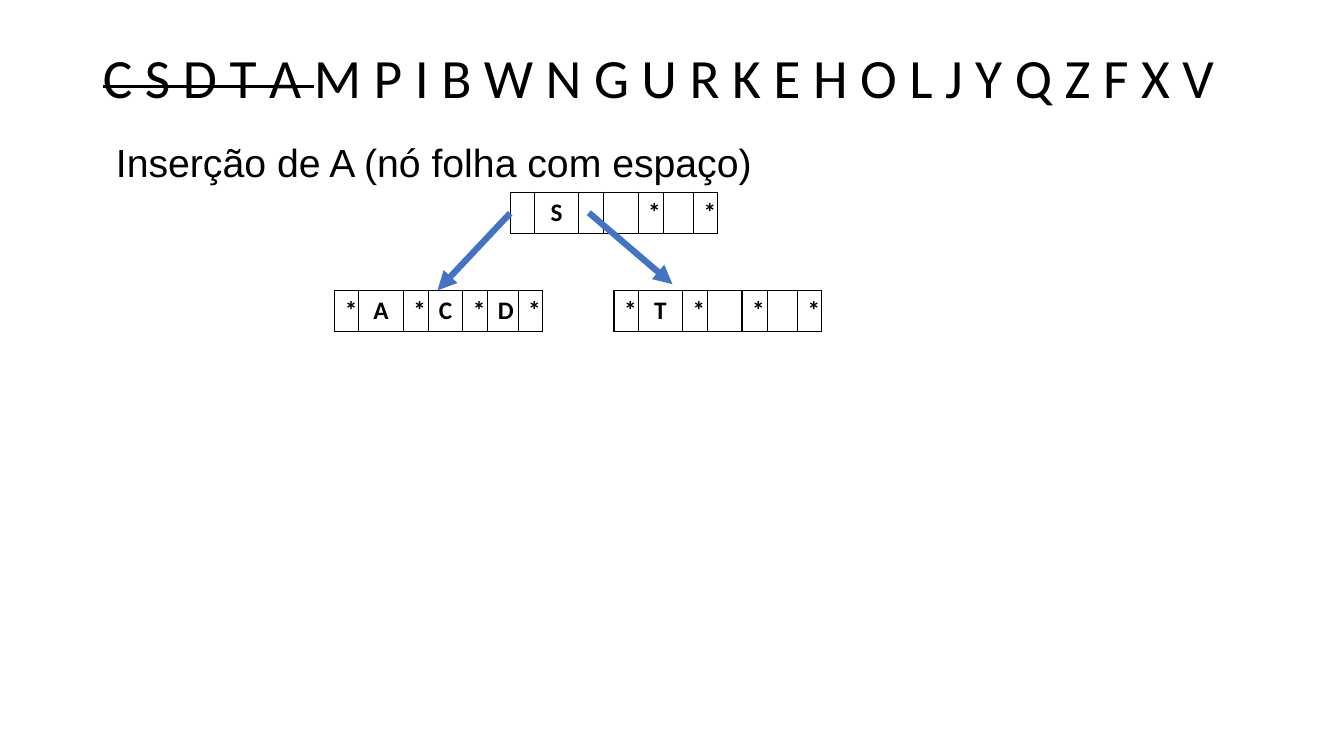
from dataclasses import dataclass

from lxml.etree import SubElement
from pptx import Presentation
from pptx.dml.color import RGBColor
from pptx.enum.shapes import MSO_CONNECTOR as Connector
from pptx.enum.text import MSO_ANCHOR as Anchor, MSO_AUTO_SIZE as AutoSize, PP_ALIGN as Align
from pptx.oxml.ns import qn
from pptx.util import Inches, Pt

INSERTED = "C S D T A "
PENDING = "M P I B W N G U R K E H O L J Y Q Z F X V"
STEP = "Inserção de A (nó folha com espaço)"

# Each node alternates pointers and keys: pointer, key, pointer, ... pointer
NODES = {
    "root": ((5.06, 1.91), ["", "S", "", "", "*", "", "*"]),
    "left leaf": ((3.32, 2.88), ["*", "A", "*", "C", "*", "D", "*"]),
    "right leaf": ((6.09, 2.88), ["*", "T", "*", "", "*", "", "*"]),
}
COLUMN_WIDTHS = [0.23, 0.44, 0.25, 0.34, 0.25, 0.3, 0.23]
NODE_HEIGHT = 0.41
LEFT_ARROW = ((5.06, 2.11), (4.34, 2.88))
RIGHT_ARROW = ((5.84, 2.11), (6.67, 2.82))
TOP, LEFT = 0, 1


@dataclass(frozen=True)
class Theme:
    ink: RGBColor = RGBColor(0, 0, 0)
    arrow: RGBColor = RGBColor(0x44, 0x72, 0xC4)
    title_font: str = "Calibri"
    body_font: str = "Arial"
    title_size: float = 39.6
    body_size: float = 28
    key_size: float = 18
    border_width: float = 1
    arrow_width: float = 4.5


THEME = Theme()


def add_span(para, text, font_name, size, bold=False):
    span = para.add_run()
    span.text = text
    span.font.name = font_name
    span.font.size = Pt(size)
    span.font.bold = bold
    span.font.color.rgb = THEME.ink
    return span


def place(box, left, top, width, height):
    """Move a placeholder and return its first paragraph, ready for text."""
    box.left, box.top, box.width, box.height = map(Inches, (left, top, width, height))
    box.text_frame.word_wrap = True
    box.text_frame.auto_size = AutoSize.NONE
    para = box.text_frame.paragraphs[0]
    para.alignment = Align.LEFT
    para.line_spacing = 0.9
    return para


def add_title(slide):
    title = slide.shapes.title
    para = place(title, 0.92, 0.39, 11.5, 1.45)
    title.text_frame.vertical_anchor = Anchor.MIDDLE
    title.text_frame.margin_bottom = Inches(0.68)
    done = add_span(para, INSERTED, THEME.title_font, THEME.title_size)
    done.font._element.set("strike", "sngStrike")
    add_span(para, PENDING, THEME.title_font, THEME.title_size)


def add_step(slide):
    para = place(slide.placeholders[1], 1.05, 1.37, 11.5, 0.94)
    para.space_before = Pt(10)
    properties = para._p.get_or_add_pPr()
    properties.set("marL", "0")
    properties.set("indent", "0")
    SubElement(properties, qn("a:buNone"))
    add_span(para, STEP, THEME.body_font, THEME.body_size)


def set_borders(cell):
    properties = cell._tc.get_or_add_tcPr()
    for position, side in enumerate(("a:lnL", "a:lnR", "a:lnT", "a:lnB")):
        line = properties.makeelement(qn(side), {"w": str(Pt(THEME.border_width))})
        properties.insert(position, line)
        fill = SubElement(line, qn("a:solidFill"))
        SubElement(fill, qn("a:srgbClr"), val=str(THEME.ink))


def add_node(slide, position, entries):
    left, top = position
    frame = slide.shapes.add_table(
        1, len(entries), Inches(left), Inches(top),
        Inches(sum(COLUMN_WIDTHS)), Inches(NODE_HEIGHT))
    table = frame.table
    table.first_row = table.horz_banding = False
    for column, (width, entry) in enumerate(zip(COLUMN_WIDTHS, entries)):
        table.columns[column].width = Inches(width)
        cell = table.cell(0, column)
        cell.fill.background()
        set_borders(cell)
        para = cell.text_frame.paragraphs[0]
        para.alignment = Align.CENTER
        if entry:
            add_span(para, entry, THEME.title_font, THEME.key_size, bold=True)
    return frame


def add_arrow(slide, start, end):
    arrow = slide.shapes.add_connector(Connector.STRAIGHT, *map(Inches, start + end))
    arrow.line.color.rgb = THEME.arrow
    arrow.line.width = Pt(THEME.arrow_width)
    SubElement(arrow.line._get_or_add_ln(), qn("a:tailEnd"), type="triangle")
    SubElement(arrow._element.spPr, qn("a:effectLst"))
    return arrow


def main():
    deck = Presentation()
    deck.slide_width, deck.slide_height = Inches(13.33), Inches(7.5)
    slide = deck.slides.add_slide(deck.slide_layouts[1])
    add_title(slide)
    add_step(slide)
    nodes = {name: add_node(slide, *node) for name, node in NODES.items()}
    left_arrow = add_arrow(slide, *LEFT_ARROW)
    left_arrow.begin_connect(nodes["root"], LEFT)
    left_arrow.end_connect(nodes["left leaf"], TOP)
    add_arrow(slide, *RIGHT_ARROW)
    deck.save("out.pptx")


if __name__ == "__main__":
    main()
